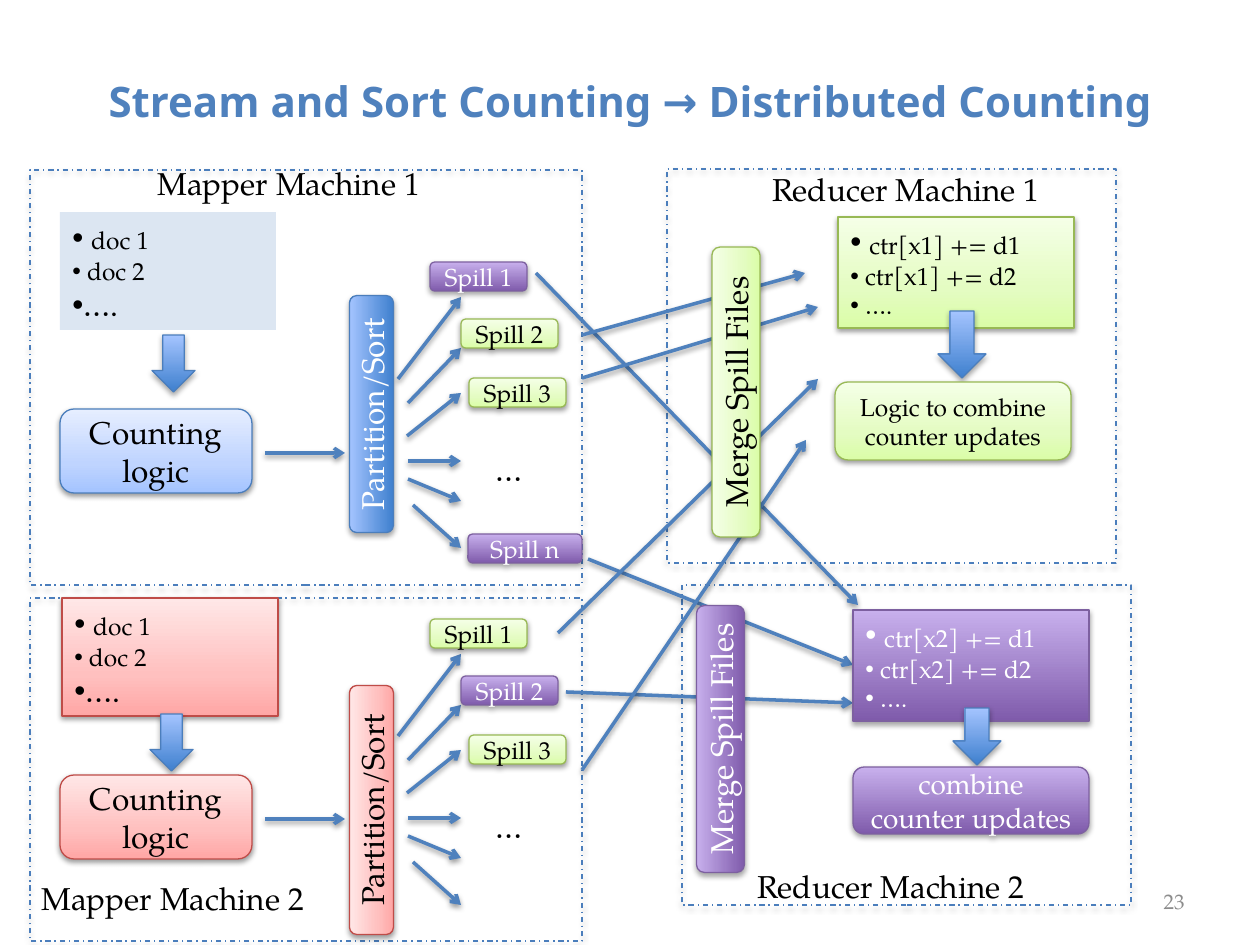
"""Builds a slide showing how stream-and-sort counting becomes distributed counting."""
import dataclasses

import pptx
import pptx.dml.color
import pptx.enum.dml
import pptx.enum.shapes
import pptx.enum.text
import pptx.oxml
import pptx.oxml.ns
import pptx.util

PX = 914400 / 126
SHAPE = pptx.enum.shapes.MSO_SHAPE
ALIGN = pptx.enum.text.PP_ALIGN
ANCHOR = pptx.enum.text.MSO_ANCHOR
NS = pptx.oxml.ns.nsdecls("a")
qn = pptx.oxml.ns.qn
rgb = pptx.dml.color.RGBColor.from_string
SHADOW = (
    f'<a:effectLst {NS}><a:outerShdw blurRad="40000" dist="%d" dir="5400000" rotWithShape="0">'
    '<a:srgbClr val="000000"><a:alpha val="%d"/></a:srgbClr></a:outerShdw></a:effectLst>'
)
STRONG_SHADOW = SHADOW % (23000, 35000)
SOFT_SHADOW = SHADOW % (20000, 38000)


@dataclasses.dataclass(frozen=True)
class Style:
    stops: tuple = ()
    line: str = ""
    text: str = "000000"
    shadow: str = ""


@dataclasses.dataclass(frozen=True)
class Theme:
    heading_font: str = "Noto Sans"
    body_font: str = "TeX Gyre Pagella"
    title: int = 24
    large: int = 18
    medium: int = 16
    small: int = 14
    footer: int = 12
    accent: str = "4F81BD"
    black: str = "000000"
    grey: str = "8C8C8C"
    frame: Style = Style((), "4B7EBC", shadow=STRONG_SHADOW)
    pale: Style = Style(((0, "DCE6F2"),))
    blue: Style = Style(((0, "3F80CE"), (100, "A4C4FF")), "4B7EBC", "FFFFFF", STRONG_SHADOW)
    sky: Style = Style(((0, "A4C4FF"), (35, "BFD4FF"), (100, "E6EEFF")), "4B7EBC", shadow=SOFT_SHADOW)
    red: Style = Style(((0, "FFA6A5"), (35, "FFC0BF"), (100, "FFE7E7")), "BF4C48", shadow=SOFT_SHADOW)
    green: Style = Style(((0, "DAFDA7"), (35, "E4FCC2"), (100, "F5FFE7")), "98B955", shadow=SOFT_SHADOW)
    purple: Style = Style(((0, "7F5BAB"), (100, "C8B0ED")), "7D60A0", "FFFFFF", STRONG_SHADOW)


theme = Theme()
presentation = pptx.Presentation()
presentation.slide_width = pptx.util.Inches(10)
presentation.slide_height = pptx.util.Inches(7.5)
slide = presentation.slides.add_slide(presentation.slide_layouts[5])


def write(shape, text, size=theme.large, colour=theme.black, font=theme.body_font, bold=False,
          align=ALIGN.CENTER, anchor=ANCHOR.MIDDLE, bullet=False, wrap=True):
    frame = shape.text_frame
    frame.word_wrap = wrap
    frame.vertical_anchor = anchor
    paragraphs = [[(text, size)]] if isinstance(text, str) else text
    for index, runs in enumerate(paragraphs):
        paragraph = frame.add_paragraph() if index else frame.paragraphs[0]
        paragraph.alignment = align
        if bullet:
            properties = paragraph._p.get_or_add_pPr()
            properties.append(pptx.oxml.parse_xml(f'<a:buFont {NS} typeface="Arial"/>'))
            properties.append(pptx.oxml.parse_xml(f'<a:buChar {NS} char="•"/>'))
        for run_text, run_size in runs:
            run = paragraph.add_run()
            run.text = run_text
            run.font.size = pptx.util.Pt(run_size)
            run.font.name = font
            run.font.bold = bold
            run.font.color.rgb = rgb(colour)


def place(kind, box, style):
    shape = slide.shapes.add_shape(kind, *[round(value * PX) for value in box])
    properties = shape._element.spPr
    if len(style.stops) > 1:
        shape.fill.gradient()
        shape.fill.gradient_angle = 90
        stop_list = properties.find(".//" + qn("a:gsLst"))
        stop_list[:] = [
            pptx.oxml.parse_xml(f'<a:gs {NS} pos="{position * 1000}"><a:srgbClr val="{colour}"/></a:gs>')
            for position, colour in style.stops
        ]
    elif style.stops:
        shape.fill.solid()
        shape.fill.fore_color.rgb = rgb(style.stops[0][1])
    else:
        shape.fill.background()
    if style.line:
        shape.line.color.rgb = rgb(style.line)
        shape.line.width = pptx.util.Pt(0.75)
    else:
        shape.line.fill.background()
    if style.shadow:
        properties.append(pptx.oxml.parse_xml(style.shadow))
    else:
        shape.shadow.inherit = False
    return shape


title = slide.shapes.title
title.left, title.top, title.width, title.height = [round(value * PX) for value in (63, 38, 1134, 125)]
write(title, "Stream and Sort Counting → Distributed Counting", size=theme.title,
      colour=theme.accent, font=theme.heading_font, bold=True)

for box in ((30, 170, 552, 415), (30, 598, 552, 343), (667, 169, 449, 394), (682, 585, 449, 320)):
    machine = place(SHAPE.RECTANGLE, box, theme.frame)
    machine.line.dash_style = pptx.enum.dml.MSO_LINE.DASH_DOT

mapper_step = 357
fan = (
    (398, 379, 461, 297), (408, 403, 461, 348), (407, 436, 461, 393),
    (408, 461, 461, 461), (408, 479, 461, 501), (413, 505, 461, 548),
)
arrows = [
    (588, 559, 853, 665), (566, 692, 853, 703), (536, 273, 858, 605), (582, 335, 805, 273),
    (582, 378, 818, 307), (558, 633, 818, 379), (582, 770, 806, 440),
    (265, 453, 345, 453), (265, 819, 345, 819),
]
for offset in (0, mapper_step):
    arrows += [(x1, y1 + offset, x2, y2 + offset) for x1, y1, x2, y2 in fan]
for ends in arrows:
    arrow = slide.shapes.add_connector(
        pptx.enum.shapes.MSO_CONNECTOR.STRAIGHT, *[round(value * PX) for value in ends])
    arrow.line.color.rgb = rgb(theme.accent)
    arrow.line.width = pptx.util.Pt(2)
    properties = arrow._element.spPr
    properties.find(qn("a:ln")).append(pptx.oxml.parse_xml(f'<a:tailEnd {NS} type="arrow"/>'))
    properties.append(pptx.oxml.parse_xml(SOFT_SHADOW))

for box, style, first, second, last, last_size in (
    ((60, 212, 216, 118), theme.pale, "doc 1", " doc 2", "….", theme.large),
    ((62, 598, 216, 118), theme.red, "doc 1", " doc 2", "….", theme.large),
    ((838, 217, 236, 111), theme.green, "ctr[x1] += d1", " ctr[x1] += d2", " ….", theme.small),
    ((853, 610, 236, 111), theme.purple, "ctr[x2] += d1", " ctr[x2] += d2", " ….", theme.small),
):
    lines = [[(" ", theme.large), (first, theme.small)], [(second, theme.small)], [(last, last_size)]]
    write(place(SHAPE.RECTANGLE, box, style), lines, colour=style.text,
          align=ALIGN.LEFT, anchor=ANCHOR.TOP, bullet=True)

for box in ((152, 335, 43, 57), (150, 714, 43, 57), (938, 311, 48, 67), (953, 708, 48, 57)):
    place(SHAPE.DOWN_ARROW, box, theme.blue)

for box, style, text, size in (
    ((60, 409, 192, 84), theme.sky, "Counting logic", theme.large),
    ((60, 775, 192, 84), theme.red, "Counting logic", theme.large),
    ((835, 382, 236, 78), theme.green, "Logic to combine counter updates", theme.small),
    ((853, 767, 236, 67), theme.purple, "combine counter updates", theme.medium),
    ((468, 534, 114, 29), theme.purple, "Spill n", theme.small),
):
    write(place(SHAPE.ROUNDED_RECTANGLE, box, style), text, size=size, colour=style.text)

for box, style, text in (
    ((253, 392, 237, 44), theme.blue, "Partition/Sort"),
    ((247, 788, 249, 44), theme.red, "Partition/Sort"),
    ((591, 368, 290, 48), theme.green, "Merge Spill Files"),
    ((587, 715, 267, 48), theme.purple, "Merge Spill Files"),
):
    bar = place(SHAPE.ROUNDED_RECTANGLE, box, style)
    bar.rotation = 270
    write(bar, text, colour=style.text)

labels = [
    ((145, 158, 316, 50), "Mapper Machine 1", True),
    ((29, 873, 316, 50), "Mapper Machine 2", True),
    ((760, 164, 296, 50), "Reducer Machine 1", False),
    ((745, 861, 296, 50), "Reducer Machine 2", False),
]
for offset, styles in (
    (0, (theme.purple, theme.green, theme.green)),
    (mapper_step, (theme.green, theme.purple, theme.green)),
):
    for number, (left, top) in enumerate(((430, 262), (461, 319), (469, 378))):
        spill = place(SHAPE.ROUNDED_RECTANGLE, (left, top + offset, 97, 29), styles[number])
        write(spill, f"Spill {number + 1}", size=theme.small, colour=styles[number].text)
    labels.append(((483, 444 + offset, 53, 34), "…", False))

for box, text, wrap in labels:
    label = slide.shapes.add_textbox(*[round(value * PX) for value in box])
    write(label, text, align=ALIGN.LEFT, anchor=ANCHOR.TOP, wrap=wrap)

slide_number = slide.shapes.add_textbox(*[round(value * PX) for value in (903, 876, 294, 50)])
write(slide_number, "23", size=theme.footer, colour=theme.grey, align=ALIGN.RIGHT)

presentation.save("out.pptx")
